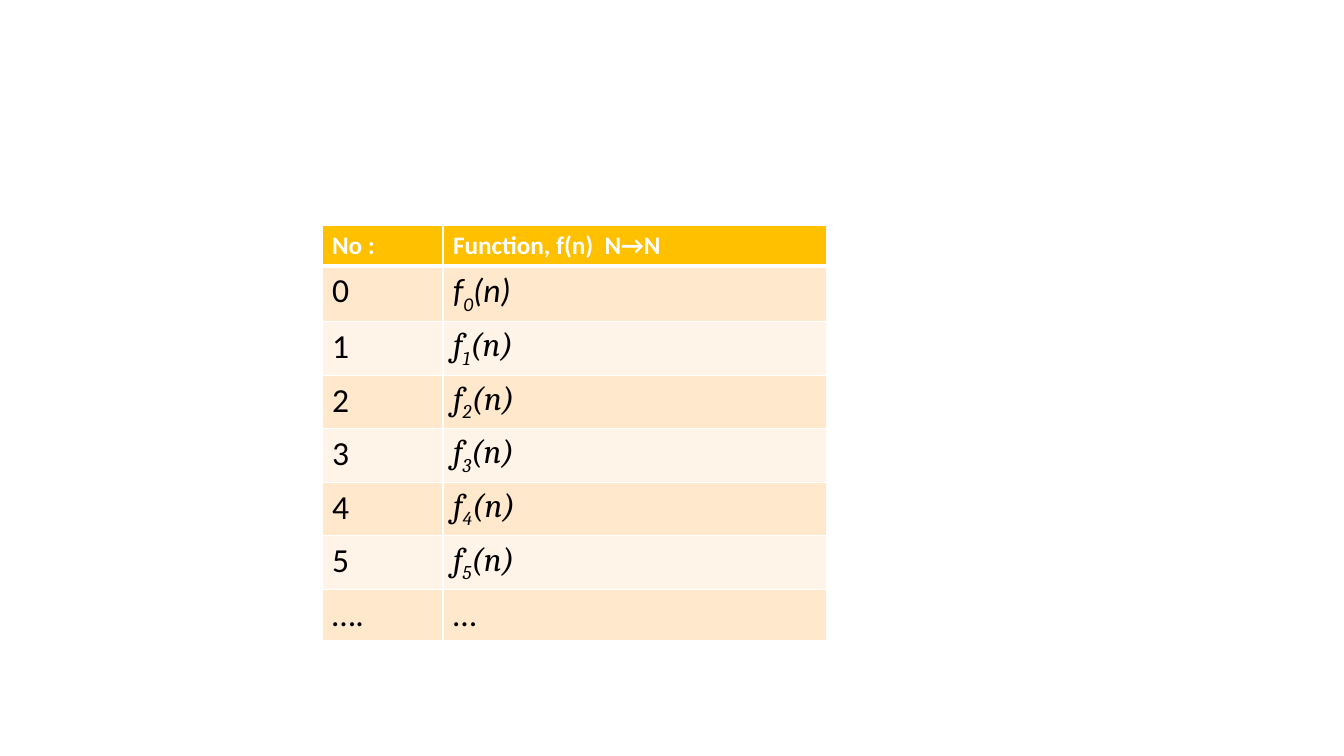
from lxml import etree
from pptx import Presentation
from pptx.dml.color import RGBColor
from pptx.oxml.ns import qn
from pptx.util import Pt

PX = 12192000 / 1344
COLORS = {"header": "FFC000", "odd": "FFE8CC", "even": "FFF4E7",
          "white": "FFFFFF", "black": "000000"}
COLUMN_WIDTHS = [121, 384]
HEADER_HEIGHT, ROW_HEIGHT = 40, 41
THIN, THICK = 1, 3


def px(length):
    return round(length * PX)


def add_border(cell, side, points):
    line = etree.SubElement(cell._tc.get_or_add_tcPr(), qn("a:ln" + side), w=str(Pt(points)))
    fill = etree.SubElement(line, qn("a:solidFill"))
    etree.SubElement(fill, qn("a:srgbClr"), val=COLORS["white"])


deck = Presentation()
deck.slide_width, deck.slide_height = px(1344), px(756)
page = deck.slides.add_slide(deck.slide_layouts[6])

# Each cell is a list of text pieces; the middle piece of three is a subscript.
rows = [[["No :"], ["Function, f(n)  N→N"]]]
rows += [[[str(n)], ["f", str(n), "(n)"]] for n in range(6)]
rows += [[["…."], ["…"]]]

table_height = HEADER_HEIGHT + ROW_HEIGHT * (len(rows) - 1)
table = page.shapes.add_table(len(rows), len(COLUMN_WIDTHS), px(322), px(225),
                              px(sum(COLUMN_WIDTHS)), px(table_height)).table
for column, width in zip(table.columns, COLUMN_WIDTHS):
    column.width = px(width)

for r, row in enumerate(rows):
    is_header = r == 0
    table.rows[r].height = px(HEADER_HEIGHT if is_header else ROW_HEIGHT)
    row_color = "header" if is_header else "odd" if r % 2 else "even"
    for c, pieces in enumerate(row):
        cell = table.cell(r, c)
        add_border(cell, "L", THIN)
        add_border(cell, "R", THIN)
        add_border(cell, "T", THICK if r == 1 else THIN)
        add_border(cell, "B", THICK if is_header else THIN)
        cell.fill.solid()
        cell.fill.fore_color.rgb = RGBColor.from_string(COLORS[row_color])

        is_formula = len(pieces) == 3
        para = cell.text_frame.paragraphs[0]
        for i, piece in enumerate(pieces):
            span = para.add_run()
            span.text = piece
            font = span.font
            font.name = "Cambria" if is_formula and r > 1 else "Calibri"
            font.size = Pt(18 if is_header else 24)
            font.bold = is_header
            font.italic = is_formula
            font.color.rgb = RGBColor.from_string(COLORS["white" if is_header else "black"])
            if i == 1:
                font._element.set("baseline", "-25000")

deck.save("out.pptx")
